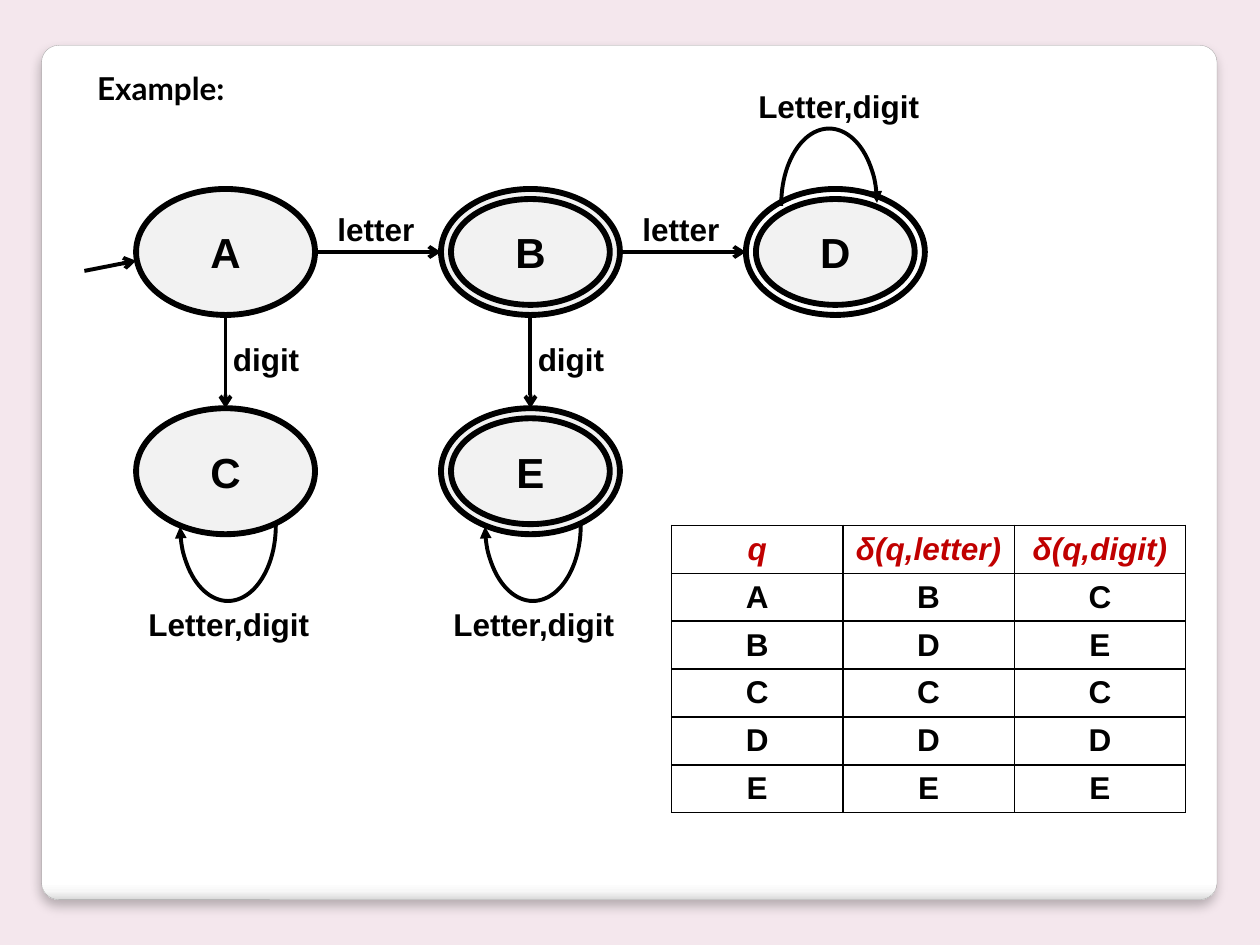
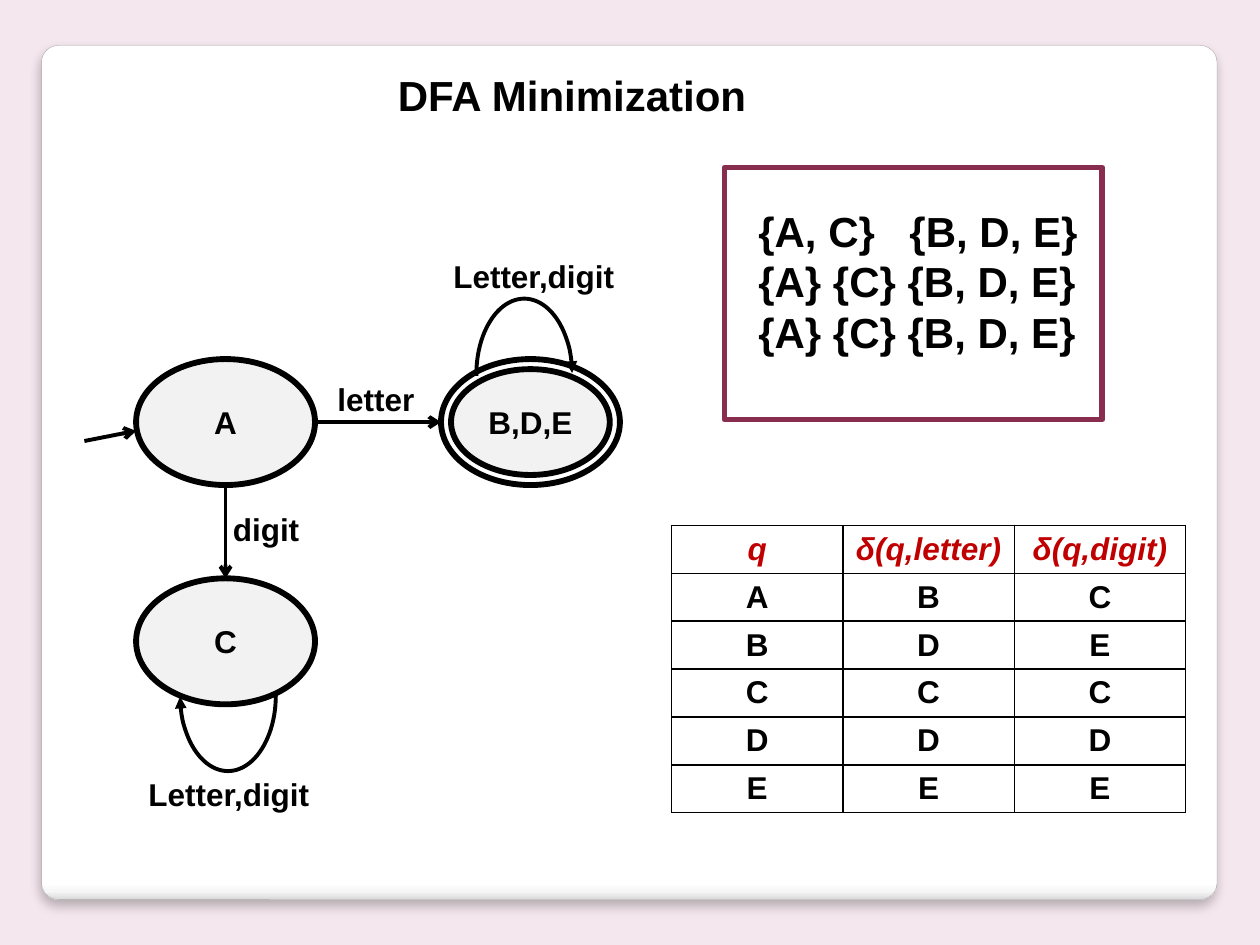
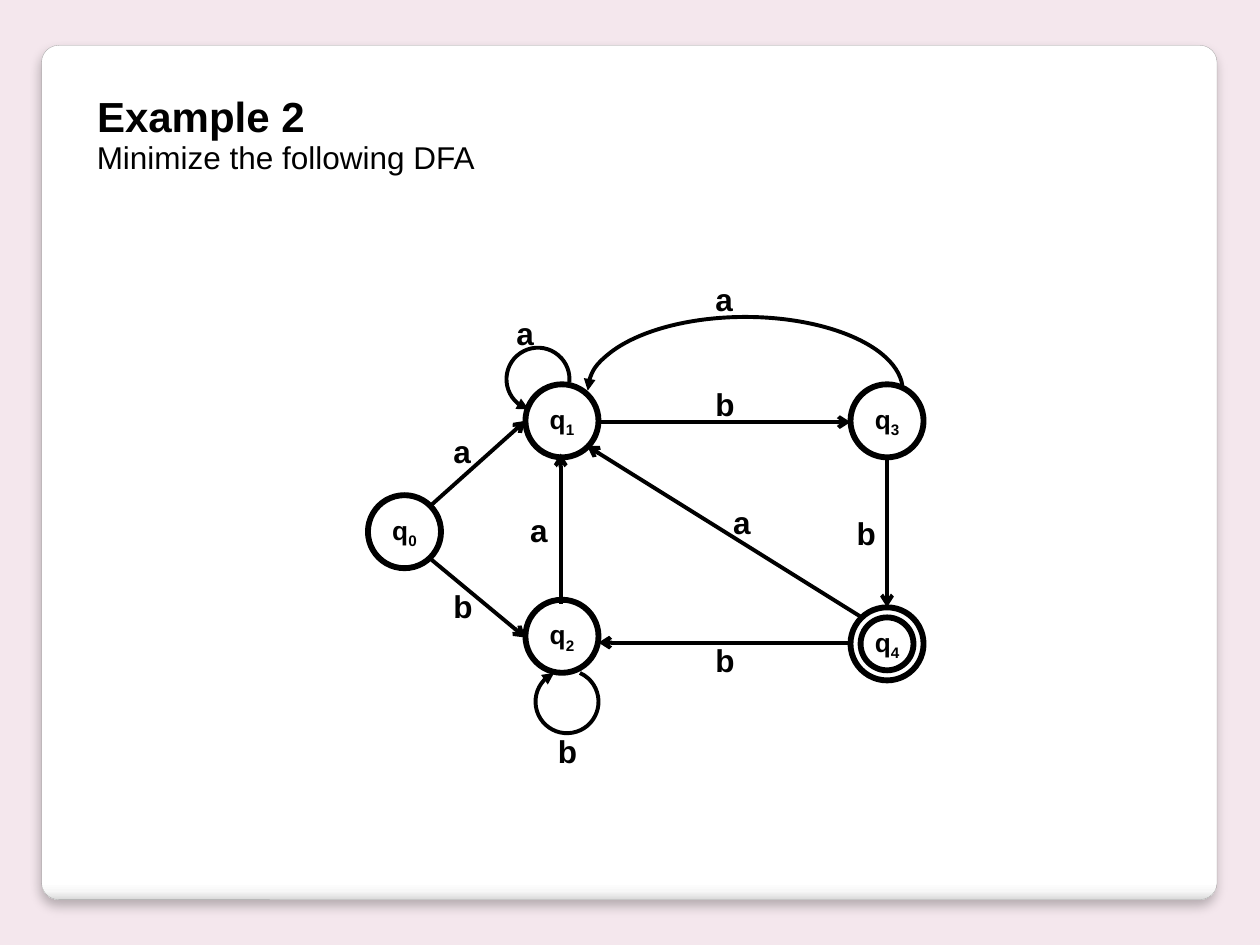
from lxml import etree
from pptx import Presentation
from pptx.dml.color import RGBColor
from pptx.enum.shapes import MSO_CONNECTOR, MSO_SHAPE
from pptx.enum.text import MSO_ANCHOR, MSO_AUTO_SIZE, PP_ALIGN
from pptx.oxml import parse_xml
from pptx.oxml.ns import nsdecls, qn
from pptx.util import Inches, Pt

HEX = {"page": "F4E7ED", "card": "FFFFFF", "rim": "A4A4A4", "ink": "000000",
       "node": "F2F2F2", "head": "C00000", "frame": "882D4D"}
FADE = [(0, "FFFFFF"), (98, "FFFFFF"), (99, "F7F7F7"), (100, "DADADA")]
THICK, THIN = 3.35, 2.25

MOVES = [("q", "δ(q,letter)", "δ(q,digit)"),
         ("A", "B", "C"), ("B", "D", "E"), ("C", "C", "C"),
         ("D", "D", "D"), ("E", "E", "E")]

# name, column, row, which ring is filled if final, side of the loop, exits
FULL = [("E", 1, 1, "outer", "below", ""),
        ("B", 1, 0, "outer", "", "right down"),
        ("D", 2, 0, "inner", "above", ""),
        ("C", 0, 1, "", "below", ""),
        ("A", 0, 0, "", "", "right down")]
SMALL = [("B,D,E", 1, 0, "inner", "above", ""),
         ("C", 0, 1, "", "below", ""),
         ("A", 0, 0, "", "", "right down")]
SETS = ["{A, C}\t{B, D, E}", "{A} {C} {B, D, E}", "{A} {C} {B, D, E}"]

LEFT, STEP, DROP = 1.08, 2.42, 1.74      # grid of the letter/digit states
WIDE, HIGH, INSET = 1.42, 1.0, 0.08      # state size, gap to the inner ring

DOT = 0.58
DOTS = {"0": (2.92, 3.93), "1": (4.17, 3.05), "2": (4.17, 4.76),
        "3": (6.75, 3.05), "4": (6.75, 4.82)}
LINES = [((4.75, 3.35), (6.75, 3.35)), ((6.75, 5.1), (4.75, 5.1)),
         ((7.04, 3.63), (7.04, 4.82)), ((4.45, 4.79), (4.45, 3.6)),
         ((6.84, 4.9), (4.66, 3.54)), ((3.41, 4.02), (4.17, 3.34)),
         ((3.41, 4.43), (4.17, 5.06))]
MARKS = {"a": [(5.72, 3.94), (3.5, 3.38), (5.58, 2.17), (4.11, 4.01), (4, 2.44)],
         "b": [(6.7, 4.03), (5.58, 3.01), (5.58, 5.04), (3.5, 4.61), (4.33, 5.76)]}


def rgb(key):
    return RGBColor.from_string(HEX[key])


def style(para, size=18, bold=True, color="ink", name="Arial", italic=False):
    font = para.font
    font.size, font.bold, font.italic, font.name = Pt(size), bold, italic, name
    font.color.rgb = rgb(color)


def draw(slide, kind, box, fill=None, line="ink", width=THICK):
    shape = slide.shapes.add_shape(kind, *map(Inches, box))
    shape.shadow.inherit = False
    if fill:
        shape.fill.solid()
        shape.fill.fore_color.rgb = rgb(fill)
    else:
        shape.fill.background()
    shape.line.color.rgb = rgb(line)
    shape.line.width = Pt(width)
    return shape


def tip(shape, end, kind):
    """Put an arrowhead on one end of a shape's outline."""
    etree.SubElement(shape.line._get_or_add_ln(), qn(f"a:{end}"), type=kind)


def arrow(slide, start, stop):
    line = slide.shapes.add_connector(
        MSO_CONNECTOR.STRAIGHT, *map(Inches, start + stop))
    line.line.color.rgb = rgb("ink")
    line.line.width = Pt(THIN)
    tip(line, "tailEnd", "arrow")
    etree.SubElement(line.element.spPr, qn("a:effectLst"))


def arc(slide, box, angles, turn=0, end="tailEnd", flip=False):
    curve = draw(slide, MSO_SHAPE.ARC, box, width=THIN)
    for i, angle in enumerate(angles):
        curve.adjustments[i] = angle * 0.6
    curve.rotation = turn
    if flip:
        curve.element.spPr.find(qn("a:xfrm")).set("flipV", "1")
    tip(curve, end, "triangle")


def write(slide, box, lines, **look):
    frame = slide.shapes.add_textbox(*map(Inches, box)).text_frame
    frame.word_wrap = True
    frame.text = "\n".join(lines)
    for para in frame.paragraphs:
        style(para, **look)
    return frame


def name(shape, text, size, sub=""):
    """Centre a state's name, with an optional subscript, in its ellipse."""
    frame = shape.text_frame
    frame.margin_left = frame.margin_right = 0
    frame.margin_top = frame.margin_bottom = 0
    frame.vertical_anchor = MSO_ANCHOR.MIDDLE
    para = frame.paragraphs[0]
    para.alignment = PP_ALIGN.CENTER
    style(para, size)
    para.add_run().text = text
    if sub:
        run = para.add_run()
        run.text = sub
        run.font._element.set("baseline", "-25000")


def rings(x, y, wide, high):
    return {"outer": (x, y, wide, high),
            "inner": (x + INSET, y + INSET, wide - 2 * INSET, high - 2 * INSET)}


def machine(slide, top, states, size):
    for text, col, row, final, loop, exits in states:
        x, y = LEFT + col * STEP, top + row * DROP
        both = rings(x, y, WIDE, HIGH)
        main = both.pop(final or "outer")
        name(draw(slide, MSO_SHAPE.OVAL, main, "node"), text, size)
        if final:
            draw(slide, MSO_SHAPE.OVAL, *both.values())
        if loop:
            dx, dy, turn, gap = {"below": (0.35, 0.33, 0, 1.51),
                                 "above": (0.28, -0.48, 180, -0.86)}[loop]
            arc(slide, (x + dx, y + dy, 0.76, 1.2), (358, 178.5), turn)
            write(slide, (x, y + gap, 1.5, 0.4), ["Letter,digit"])
        if "right" in exits:
            arrow(slide, (x + WIDE, y + HIGH / 2), (x + STEP, y + HIGH / 2))
            write(slide, (x + 1.5, y + 0.12, 0.83, 0.4), ["letter"])
        if "down" in exits:
            arrow(slide, (x + WIDE / 2, y + HIGH), (x + WIDE / 2, y + DROP))
            write(slide, (x + 0.67, y + 1.15, 0.83, 0.4), ["digit"])
    arrow(slide, (0.67, top + 0.65), (LEFT, top + 0.57))


def edge(cell):
    props = cell._tc.get_or_add_tcPr()
    for i, side in enumerate("LRTB"):
        props.insert(i, parse_xml(
            f'<a:ln{side} {nsdecls("a")} w="12700"><a:solidFill>'
            f'<a:srgbClr val="{HEX["ink"]}"/></a:solidFill></a:ln{side}>'))


def table(slide):
    rows, cols = len(MOVES), len(MOVES[0])
    grid = slide.shapes.add_table(rows, cols, Inches(5.33), Inches(4.17),
                                  Inches(1.36 * cols), Inches(0.38 * rows)).table
    grid.first_row = grid.horz_banding = False
    for r, row in enumerate(MOVES):
        for c, text in enumerate(row):
            cell = grid.cell(r, c)
            cell.text = text
            cell.margin_left = cell.margin_right = Inches(0.05)
            cell.margin_top = cell.margin_bottom = Inches(0.04)
            cell.vertical_anchor = MSO_ANCHOR.MIDDLE
            cell.fill.solid()
            cell.fill.fore_color.rgb = rgb("card")
            para = cell.text_frame.paragraphs[0]
            para.alignment = PP_ALIGN.CENTER
            style(para, color="ink" if r else "head", italic=r == 0)
            edge(cell)


def theme(deck, layout):
    """Give the master its page colour and the layout its white card."""
    back = deck.slide_master.background.fill
    back.solid()
    back.fore_color.rgb = rgb("page")
    card = draw(deck.slides[0], MSO_SHAPE.ROUNDED_RECTANGLE,
                (0.33, 0.36, 9.33, 6.78), "card", "rim", 0.16)
    card.adjustments[0] = 0.02
    props = card.element.spPr
    stops = "".join(f'<a:gs pos="{pos * 1000}"><a:srgbClr val="{tone}"/></a:gs>'
                    for pos, tone in FADE)
    props.replace(props.find(qn("a:solidFill")), parse_xml(
        f'<a:gradFill {nsdecls("a")}><a:gsLst>{stops}</a:gsLst>'
        '<a:lin ang="5400000" scaled="0"/></a:gradFill>'))
    props.find(qn("a:effectLst")).append(parse_xml(
        f'<a:outerShdw {nsdecls("a")} blurRad="{Pt(6)}" dist="{Pt(4)}" '
        f'dir="5400000" rotWithShape="0"><a:srgbClr val="{HEX["ink"]}">'
        '<a:alpha val="25000"/></a:srgbClr></a:outerShdw>'))
    layout.shapes.element.insert(2, card.element)


def title(slide, text, box, align=PP_ALIGN.LEFT, **look):
    head = slide.shapes.title
    head.left, head.top, head.width, head.height = map(Inches, box)
    frame = head.text_frame
    frame.text = text
    frame.auto_size = MSO_AUTO_SIZE.NONE
    frame.vertical_anchor = MSO_ANCHOR.TOP
    para = frame.paragraphs[0]
    para.alignment = align
    style(para, **look)


def example(slide):
    title(slide, "Example:", (0.67, 0.5, 2.25, 0.4), name="Lato")
    table(slide)
    machine(slide, 1.5, FULL, 24)


def minimal(slide):
    title(slide, "DFA Minimization", (2.08, 0.5, 4.92, 0.5),
          PP_ALIGN.CENTER, size=24)
    table(slide)
    machine(slide, 2.85, SMALL, 18)
    sets = write(slide, (5.92, 1.58, 3.67, 1.31), SETS, size=24)
    props = sets.paragraphs[0]._p.get_or_add_pPr()
    props.insert(0, parse_xml(f'<a:tabLst {nsdecls("a")}>'
                              f'<a:tab pos="{Inches(1.2)}" algn="l"/></a:tabLst>'))
    draw(slide, MSO_SHAPE.RECTANGLE, (5.75, 1.33, 3, 2), line="frame")


def task(slide):
    title(slide, "Example 2", (0.67, 0.67, 5, 0.45), size=24)
    write(slide, (0.67, 1.05, 5, 0.4), ["Minimize the following DFA"], bold=False)
    for sub, (x, y) in DOTS.items():
        both = rings(x, y, DOT, DOT)
        name(draw(slide, MSO_SHAPE.OVAL, both["outer"]), "q", 15, sub)
        if sub == "4":
            draw(slide, MSO_SHAPE.OVAL, both["inner"])
    for start, stop in LINES:
        arrow(slide, start, stop)
    arc(slide, (5.33, 1.85, 1.17, 2.5), (270, 88.2), 270, "headEnd")
    arc(slide, (4.25, 5.32, 0.5, 0.5), (251.5, 203), 42.7)
    arc(slide, (4.02, 2.76, 0.5, 0.5), (304.3, 203), 310.3, flip=True)
    for text, spots in MARKS.items():
        for x, y in spots:
            write(slide, (x, y, 0.42, 0.4), [text])


def main():
    deck = Presentation()
    deck.slide_width, deck.slide_height = Inches(10), Inches(7.5)
    layout = deck.slide_layouts[5]
    for build in (example, minimal, task):
        build(deck.slides.add_slide(layout))
    theme(deck, layout)
    deck.save("out.pptx")


if __name__ == "__main__":
    main()
